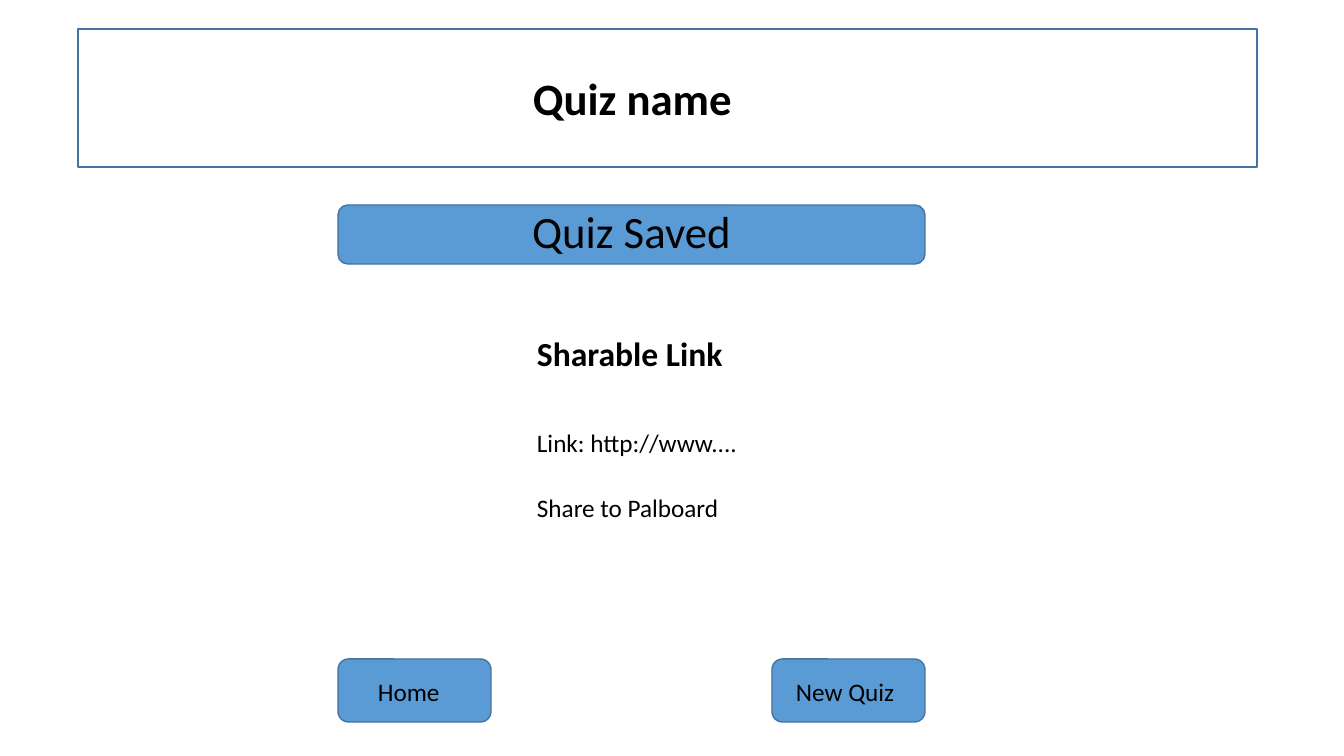
from pptx import Presentation
from pptx.dml.color import RGBColor
from pptx.enum.shapes import MSO_SHAPE
from pptx.enum.text import MSO_ANCHOR, MSO_AUTO_SIZE, PP_ALIGN
from pptx.util import Emu, Pt

SCALE = 914400 / 100.8


def pixels(*lengths):
    return [Emu(round(length * SCALE)) for length in lengths]


def color(value):
    return RGBColor.from_string(value)


presentation = Presentation()
presentation.slide_width, presentation.slide_height = pixels(1344, 756)
slide = presentation.slides.add_slide(presentation.slide_layouts[5])

title = slide.shapes.title
title.left, title.top, title.width, title.height = pixels(194, 66, 877, 64)

boxes = [
    (MSO_SHAPE.RECTANGLE, (78, 29, 1179, 138), None),
    (MSO_SHAPE.ROUNDED_RECTANGLE, (338, 205, 587, 59), "5B9BD5"),
    (MSO_SHAPE.ROUNDED_RECTANGLE, (338, 659, 153, 63), "5B9BD5"),
    (MSO_SHAPE.ROUNDED_RECTANGLE, (772, 659, 153, 63), "5B9BD5"),
]
for kind, place, fill in boxes:
    shape = slide.shapes.add_shape(kind, *pixels(*place))
    shape.shadow.inherit = False
    shape.line.color.rgb = color("43739E")
    shape.line.width = Pt(1)
    if fill:
        shape.fill.solid()
        shape.fill.fore_color.rgb = color(fill)
    else:
        shape.fill.background()

heading = {"size": Pt(32), "bold": True}
banner = {"size": Pt(32), "bold": False}
subheading = {"size": Pt(24), "bold": True}
body = {"size": Pt(18), "bold": False}
center, left = PP_ALIGN.CENTER, PP_ALIGN.LEFT

labels = [
    ("Quiz Saved", (435, 199, 393, 64), center, True, banner),
    ("Sharable Link", (527, 328, 208, 50), left, False, subheading),
    ("Link: http://www....", (527, 422, 223, 40), left, False, body),
    ("Share to Palboard", (527, 487, 211, 40), left, False, body),
    ("Home", (368, 671, 94, 40), left, True, body),
    ("New Quiz", (786, 671, 123, 40), left, True, body),
]
texts = [(title, "Quiz name", center, True, heading)]
for text, place, alignment, wrap, style in labels:
    texts.append((slide.shapes.add_textbox(*pixels(*place)), text, alignment, wrap, style))

for shape, text, alignment, wrap, style in texts:
    frame = shape.text_frame
    frame.text = text
    frame.word_wrap = wrap
    frame.auto_size = MSO_AUTO_SIZE.SHAPE_TO_FIT_TEXT
    frame.vertical_anchor = MSO_ANCHOR.TOP
    paragraph = frame.paragraphs[0]
    paragraph.alignment = alignment
    font = paragraph.runs[0].font
    font.color.rgb = color("000000")
    for name, value in {"name": "Calibri", **style}.items():
        setattr(font, name, value)

presentation.save("out.pptx")
